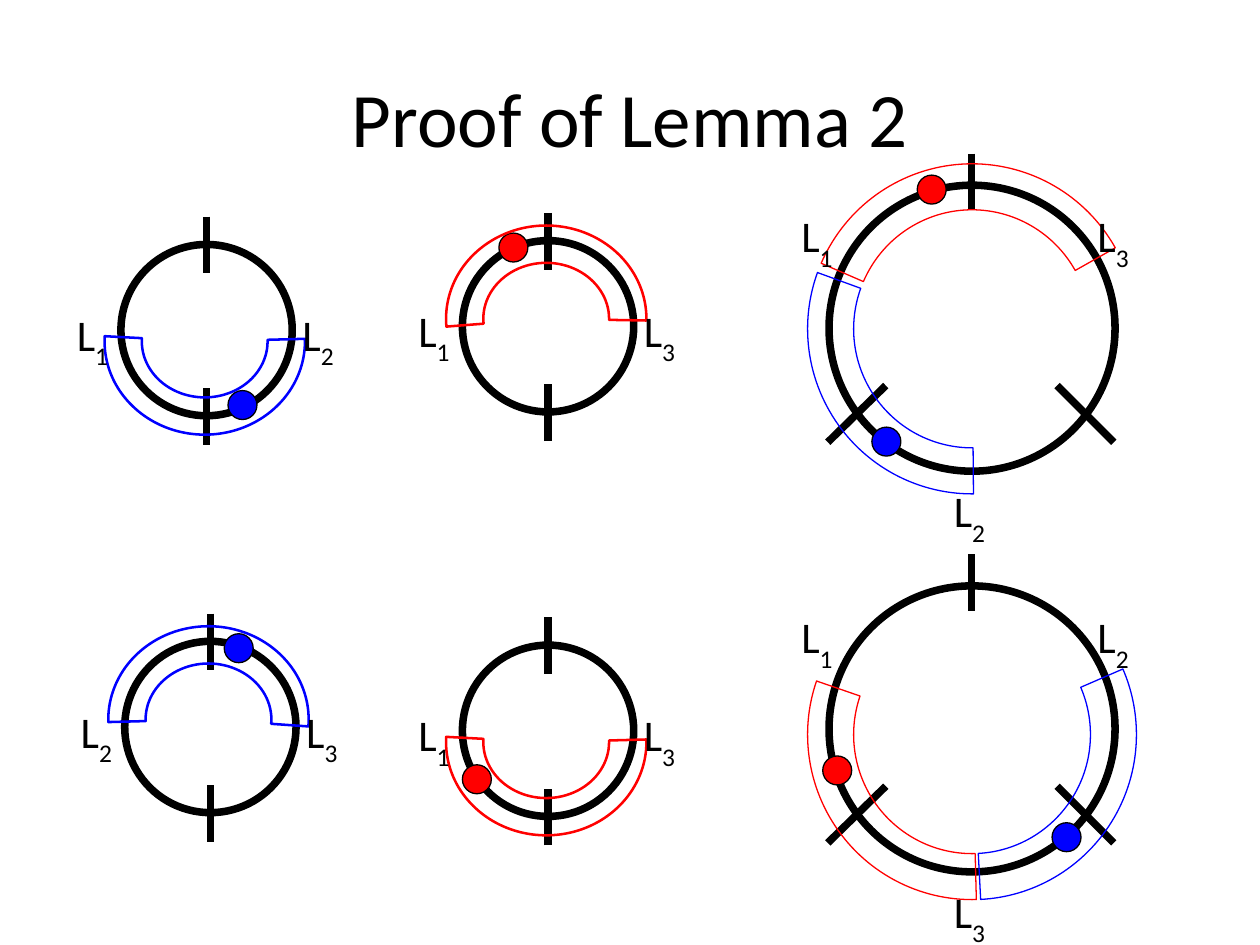
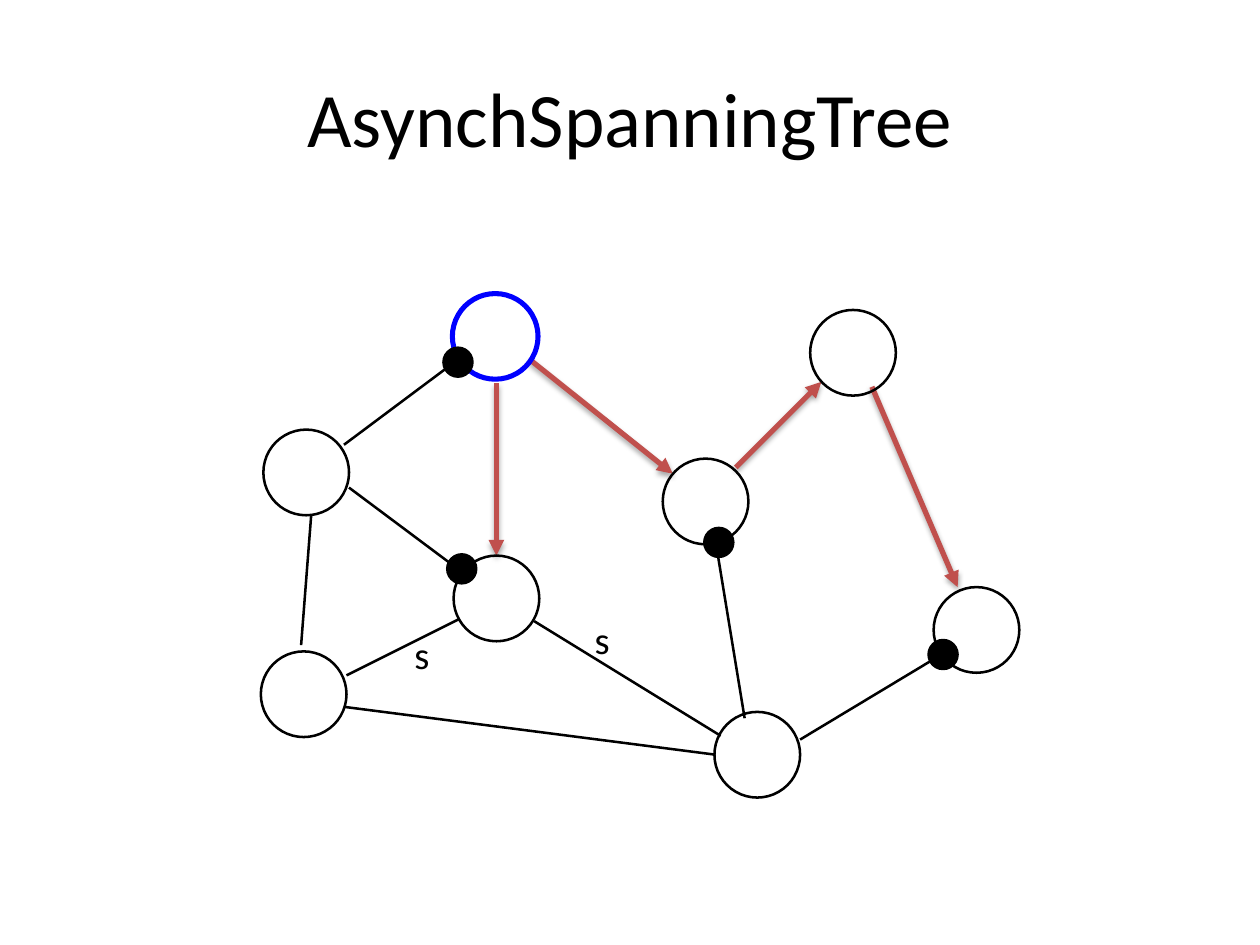
from lxml import etree
from pptx import Presentation
from pptx.dml.color import RGBColor as Rgb
from pptx.enum.shapes import MSO_CONNECTOR as Link, MSO_SHAPE as Shape
from pptx.enum.text import MSO_ANCHOR as Anchor, PP_ALIGN as Align
from pptx.oxml import parse_xml
from pptx.oxml.ns import qn
from pptx.util import Inches, Pt

INK = {"black": "000000", "blue": "0000FF", "red": "FF0000", "brick": "C0504D"}
FONT = "Calibri"
NS = 'xmlns:a="http://schemas.openxmlformats.org/drawingml/2006/main"'
FLAT = f"<a:effectLst {NS}/>"
SHADE = (
    f'<a:effectLst {NS}><a:outerShdw blurRad="39400" dist="23000" dir="5400000" rotWithShape="0">'
    '<a:srgbClr val="000000"><a:alpha val="35000"/></a:srgbClr></a:outerShdw></a:effectLst>'
)
DOT = 0.23


def rgb(name):
    return Rgb.from_string(INK[name])


def style(font, size):
    font.name = FONT
    font.size = Pt(size)
    font.color.rgb = rgb("black")


proof = {"title": "Proof of Lemma 2", "ovals": [], "lines": [], "arcs": [], "dots": [], "notes": []}
tree = {"title": "AsynchSpanningTree", "ovals": [], "lines": [], "arcs": [], "dots": [], "notes": []}

small = {
    "size": 1.36,
    "ticks": [(0.68, -0.22, 0.68, 0.23), (0.68, 1.59, 0.68, 1.14)],
    "spots": [(-0.47, 0.43), (1.32, 0.43)],
    "band": (1.59, 1.48, 0.2, 1.45),
}
large = {
    "size": 2.27,
    "ticks": [(1.13, -0.25, 1.13, 0.2), (1.81, 1.59, 2.26, 2.04), (0.45, 1.59, -0.01, 2.04)],
    "spots": [(-0.34, 0.12), (2.01, 0.12), (0.87, 2.3)],
    "band": (2.61, 2.62, 0.14, 0.75),
}
rings = [
    (small, 0.96, 1.94, "12", [("blue", 0.83, 1.97, -1.5, 183, 1.81, 3.1)]),
    (small, 0.99, 5.09, "23", [("blue", 0.86, 4.97, 178.5, 364, 1.78, 5.03)]),
    (small, 3.67, 5.12, "13", [("red", 3.54, 5.15, -1.5, 183, 3.67, 6.07)]),
    (small, 3.67, 1.91, "13", [("red", 3.54, 1.79, 175.5, 361, 3.96, 1.85)]),
    (large, 6.58, 1.47, "132", [
        ("red", 6.41, 1.3, 203.5, 330.5, 7.28, 1.39),
        ("blue", 6.41, 1.3, 89.5, 200, 6.92, 3.39),
    ]),
    (large, 6.58, 4.65, "123", [
        ("red", 6.41, 4.52, 88.5, 199, 6.53, 6),
        ("blue", 6.41, 4.52, -23.5, 87, 8.35, 6.53),
    ]),
]
for kind, x, y, marks, spans in rings:
    proof["ovals"].append((x, y, kind["size"], "black", 4.31))
    for ax, ay, bx, by in kind["ticks"]:
        proof["lines"].append((x + ax, y + ay, x + bx, y + by, "black", 4.31))
    for (dx, dy), mark in zip(kind["spots"], marks):
        proof["notes"].append((x + dx, y + dy, 0.58, 0.65, "L", mark, 25, 0.12, 0.07))
    for tint, left, top, start, end, dx, dy in spans:
        proof["arcs"].append((left, top, *kind["band"], start, end, tint))
        proof["dots"].append((dx, dy, tint, 0.75))

nodes = [
    (2.09, 3.41), (3.6, 4.41), (5.26, 3.64), (6.43, 2.46),
    (5.67, 5.65), (2.07, 5.17), (7.41, 4.66),
]
tree["ovals"] = [(x, y, 0.68, "black", 1.45) for x, y in nodes]
tree["ovals"].append((3.59, 2.33, 0.68, "blue", 2.89))
edges = [
    (3.64, 2.85, 2.73, 3.53), (2.77, 3.87, 3.68, 4.55), (2.47, 4.09, 2.39, 5.12),
    (2.75, 5.36, 3.65, 4.91), (6.35, 5.87, 7.48, 5.19), (5.68, 4.3, 5.91, 5.7),
    (2.73, 5.61, 5.68, 5.99), (4.24, 4.93, 5.72, 5.84),
]
sends = [
    (3.94, 3.04, 3.94, 4.41), (4.2, 2.85, 5.34, 3.76),
    (5.84, 3.71, 6.52, 3.03), (6.92, 3.07, 7.6, 4.66),
]
tree["lines"] = [(*edge, "black", 1.45) for edge in edges]
tree["lines"] += [(*send, "brick", 3) for send in sends]
tree["dots"] = [
    (x, y, "black", 1.45) for x, y in [(3.52, 2.76), (3.55, 4.4), (7.37, 5.08), (5.59, 4.19)]
]
tree["notes"] = [
    (x, y, 0.35, 0.48, "s", "", 22, 0.1, 0.05) for x, y in [(4.62, 4.84), (3.19, 4.96)]
]

deck = Presentation()
deck.slide_width, deck.slide_height = Inches(10), Inches(7.5)

for page in (proof, tree):
    slide = deck.slides.add_slide(deck.slide_layouts[5])
    shapes = slide.shapes
    title = shapes.title
    title.left, title.top = Inches(0.5), Inches(0.3)
    title.width, title.height = Inches(9), Inches(1.25)
    frame = title.text_frame
    frame.text = page["title"]
    frame.vertical_anchor = Anchor.MIDDLE
    frame.margin_left = frame.margin_right = frame.margin_top = frame.margin_bottom = 0
    frame.paragraphs[0].alignment = Align.CENTER
    style(frame.paragraphs[0].runs[0].font, 44)

    for x1, y1, x2, y2, tint, width in page["lines"]:
        line = shapes.add_connector(Link.STRAIGHT, Inches(x1), Inches(y1), Inches(x2), Inches(y2))
        line.line.color.rgb = rgb(tint)
        line.line.width = Pt(width)
        props = line._element.spPr
        if tint == "brick":
            etree.SubElement(props.find(qn("a:ln")), qn("a:tailEnd"), type="triangle")
        props.append(parse_xml(SHADE if tint == "brick" else FLAT))

    rounds = [(x, y, size, tint, width, None) for x, y, size, tint, width in page["ovals"]]
    spots = [(x, y, DOT, "black", width, fill) for x, y, fill, width in page["dots"]]
    for x, y, size, tint, width, fill in rounds + spots:
        oval = shapes.add_shape(Shape.OVAL, Inches(x), Inches(y), Inches(size), Inches(size))
        oval.shadow.inherit = False
        oval.line.color.rgb = rgb(tint)
        oval.line.width = Pt(width)
        if fill:
            oval.fill.solid()
            oval.fill.fore_color.rgb = rgb(fill)
        else:
            oval.fill.background()

    for x, y, w, h, thick, width, start, end, tint in page["arcs"]:
        band = shapes.add_shape(Shape.BLOCK_ARC, Inches(x), Inches(y), Inches(w), Inches(h))
        band.adjustments[0] = start % 360 * 0.6
        band.adjustments[1] = end % 360 * 0.6
        band.adjustments[2] = thick
        band.shadow.inherit = False
        band.fill.background()
        band.line.color.rgb = rgb(tint)
        band.line.width = Pt(width)

    for x, y, w, h, word, sub, size, side, edge in page["notes"]:
        frame = shapes.add_textbox(Inches(x), Inches(y), Inches(w), Inches(h)).text_frame
        frame.word_wrap = False
        frame.margin_left = frame.margin_right = Inches(side)
        frame.margin_top = frame.margin_bottom = Inches(edge)
        para = frame.paragraphs[0]
        para.text = word
        if sub:
            low = para.add_run()
            low.text = sub
            low._r.get_or_add_rPr().set("baseline", "-33000")
        for run in para.runs:
            style(run.font, size)

deck.save("out.pptx")
